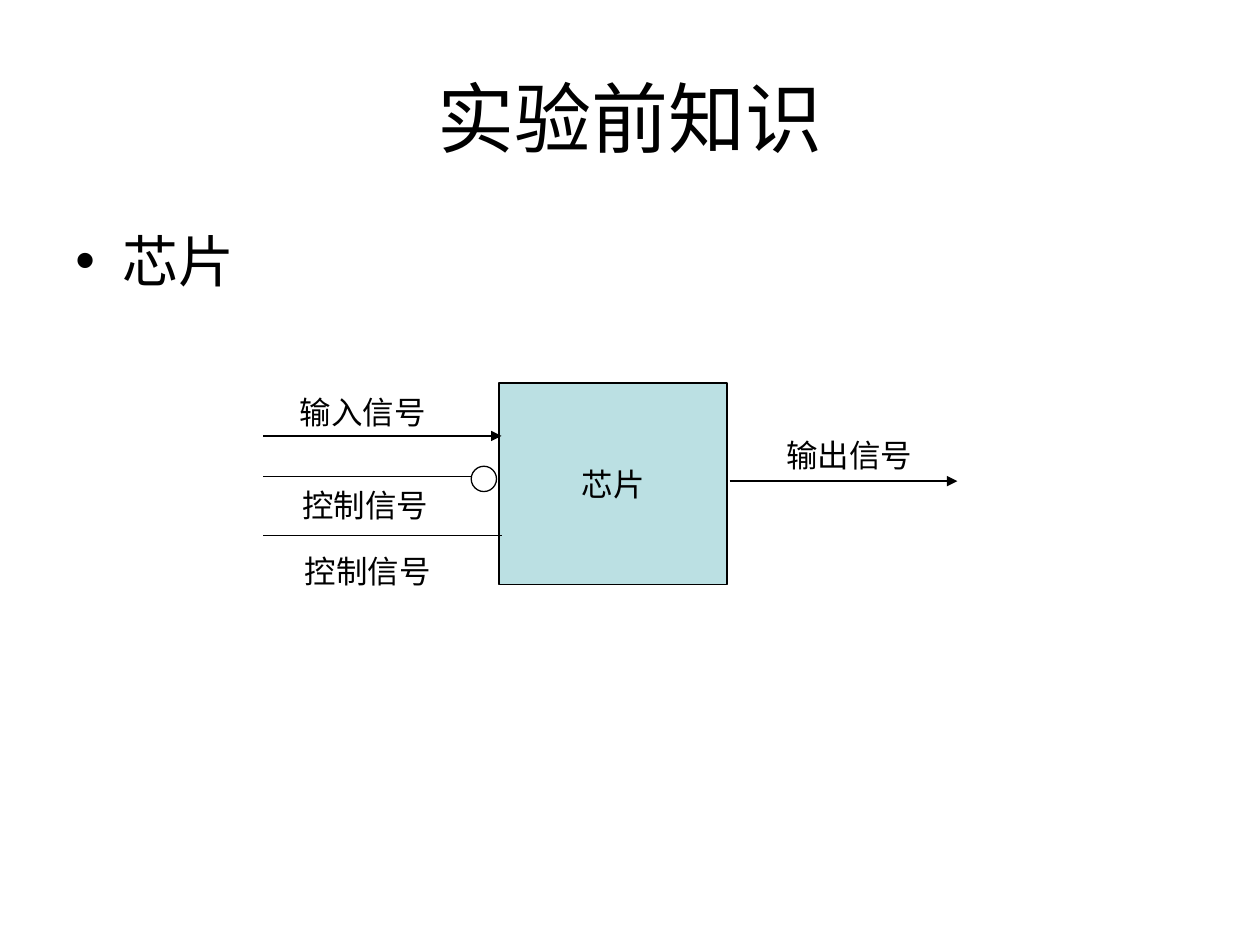
"""Build the slide that explains a chip with its input, control and output signals."""
from lxml.etree import SubElement
from pptx import Presentation
from pptx.dml.color import RGBColor
from pptx.enum.shapes import MSO_CONNECTOR as Connector, MSO_SHAPE as Shape
from pptx.enum.text import MSO_ANCHOR as Anchor, MSO_AUTO_SIZE as AutoSize, PP_ALIGN as Align
from pptx.oxml.ns import qn
from pptx.util import Cm, Pt


def color(value):
    return RGBColor.from_string(value)


def write(shape, text, size=18, align=Align.LEFT, anchor=Anchor.TOP, before=0, wrap=True):
    frame = shape.text_frame
    frame.auto_size = AutoSize.NONE
    frame.word_wrap = wrap
    frame.vertical_anchor = anchor
    paragraph = frame.paragraphs[0]
    paragraph.alignment = align
    paragraph.space_before = Pt(before)
    run = paragraph.add_run()
    run.text = text
    run.font.size = Pt(size)
    run.font.name = "Arial"
    run.font.color.rgb = color("000000")
    return paragraph


presentation = Presentation()
presentation.slide_width = Cm(25.4)
presentation.slide_height = Cm(19.05)
slide = presentation.slides.add_slide(presentation.slide_layouts[5])
shapes = slide.shapes

title = shapes.title
title.left, title.top, title.width, title.height = Cm(1.27), Cm(0.76), Cm(22.86), Cm(3.18)
write(title, "实验前知识", size=44, align=Align.CENTER, anchor=Anchor.MIDDLE)

body = shapes.add_textbox(Cm(1.27), Cm(4.45), Cm(22.86), Cm(12.57))
paragraph = write(body, "芯片", size=32, before=8)
properties = paragraph._p.get_or_add_pPr()
properties.set("marL", str(Cm(0.95)))
properties.set("indent", str(-Cm(0.95)))
SubElement(properties, qn("a:buFont"), typeface="Arial")
SubElement(properties, qn("a:buChar"), char="•")

chip = shapes.add_shape(Shape.RECTANGLE, Cm(10.06), Cm(7.72), Cm(4.6), Cm(4.06))
chip.fill.solid()
chip.fill.fore_color.rgb = color("BBE0E3")
write(chip, "芯片", align=Align.CENTER, anchor=Anchor.MIDDLE, wrap=False)

inverter = shapes.add_shape(Shape.FLOWCHART_CONNECTOR, Cm(9.5), Cm(9.4), Cm(0.51), Cm(0.51))
inverter.fill.background()

for shape in (chip, inverter):
    shape.shadow.inherit = False
    shape.line.color.rgb = color("000000")
    shape.line.width = Pt(0.75)

signals = [
    ("输入信号", 5.31, 10.11, 8.79, True, 5.79, 7.8),
    ("控制信号", 5.31, 9.5, 9.6, False, 5.84, 9.68),
    ("输出信号", 14.71, 19.3, 9.7, True, 15.6, 8.66),
    ("控制信号", 5.31, 10.11, 10.8, False, 5.89, 11),
]
for name, start, end, height, has_arrow, label_left, label_top in signals:
    line = shapes.add_connector(Connector.STRAIGHT, Cm(start), Cm(height), Cm(end), Cm(height))
    line.line.color.rgb = color("000000")
    line.line.width = Pt(0.75)
    if has_arrow:
        SubElement(line.line._get_or_add_ln(), qn("a:tailEnd"), type="triangle")
    SubElement(line._element.spPr, qn("a:effectLst"))
    label = shapes.add_textbox(Cm(label_left), Cm(label_top), Cm(4.6), Cm(1.02))
    write(label, name, before=11.2)

presentation.save("out.pptx")
